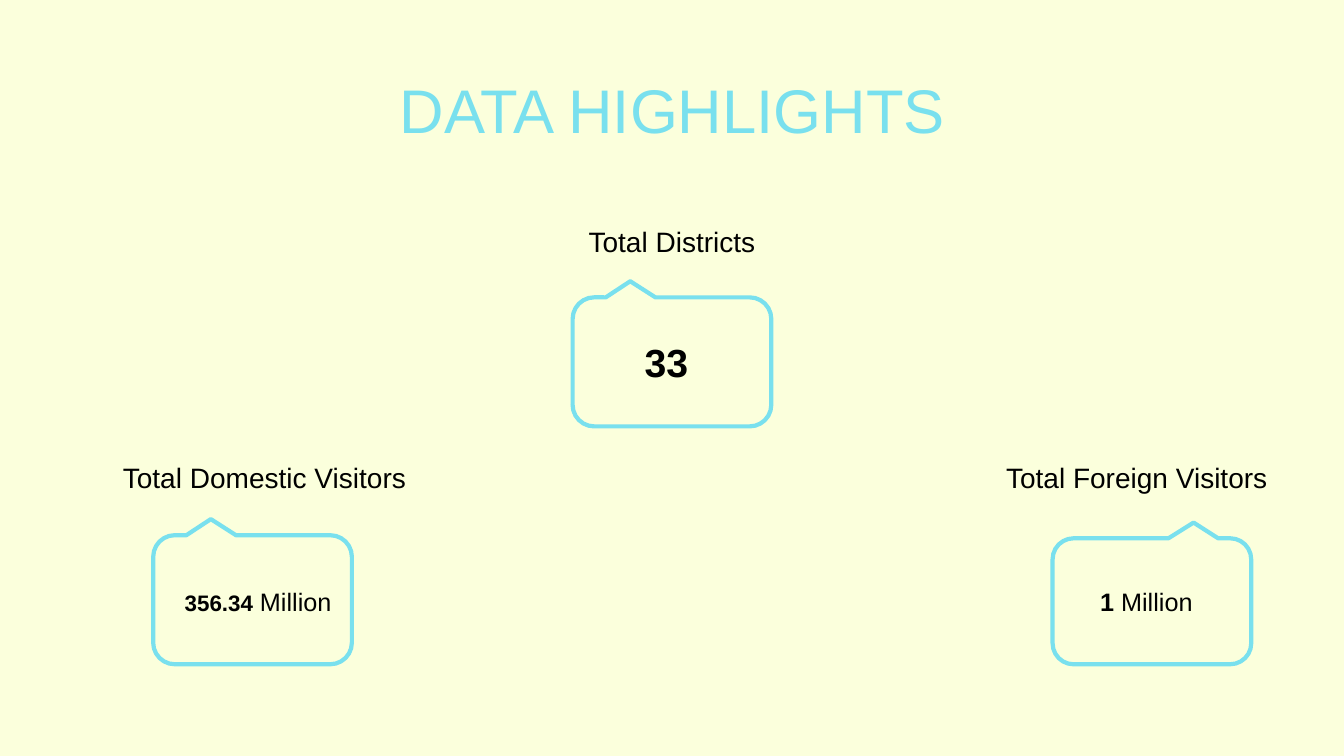
from dataclasses import dataclass

from pptx import Presentation
from pptx.dml.color import RGBColor
from pptx.enum import shapes, text
from pptx.slide import Slide
from pptx.text.text import TextFrame
from pptx.util import Inches, Pt

CREAM, AQUA, BLACK = "FBFFDC", "79E0EE", "000000"
FONT = "Arial"
LEFT, CENTER, RIGHT = text.PP_ALIGN.LEFT, text.PP_ALIGN.CENTER, text.PP_ALIGN.RIGHT
CALLOUT_W, LABEL_W, VALUE_W = 1.97, 3.09, 1.86


@dataclass(frozen=True)
class Run:
    text: str
    size: int
    bold: bool = False
    color: str = BLACK


@dataclass(frozen=True)
class TextItem:
    left: float
    top: float
    width: float
    height: float
    align: text.PP_ALIGN
    runs: tuple[Run, ...]


@dataclass(frozen=True)
class Callout:
    left: float
    top: float
    height: float
    tip: float  # horizontal offset of the tip from the centre, as a share of width


@dataclass(frozen=True)
class Highlight:
    callout: Callout
    label: TextItem
    value: TextItem


def rgb(value: str) -> RGBColor:
    return RGBColor.from_string(value)


def write(tf: TextFrame, align: text.PP_ALIGN, runs: tuple[Run, ...]) -> None:
    tf.word_wrap = True
    p = tf.paragraphs[0]
    p.alignment = align
    for run in runs:
        r = p.add_run()
        r.text = run.text
        formats = {"name": FONT, "size": Pt(run.size), "bold": run.bold}
        for name, value in formats.items():
            setattr(r.font, name, value)
        r.font.color.rgb = rgb(run.color)


def add_text(s: Slide, item: TextItem) -> None:
    box = s.shapes.add_textbox(
        Inches(item.left), Inches(item.top), Inches(item.width), Inches(item.height))
    write(box.text_frame, item.align, item.runs)
    box.text_frame.auto_size = text.MSO_AUTO_SIZE.SHAPE_TO_FIT_TEXT


def add_callout(s: Slide, callout: Callout) -> None:
    sp = s.shapes.add_shape(
        shapes.MSO_SHAPE.ROUNDED_RECTANGULAR_CALLOUT,
        Inches(callout.left), Inches(callout.top),
        Inches(CALLOUT_W), Inches(callout.height))
    sp.adjustments[0] = callout.tip
    sp.adjustments[1] = -0.625  # tip above the box
    sp.shadow.inherit = False
    sp.fill.background()
    sp.line.color.rgb = rgb(AQUA)
    sp.line.width = Pt(3)


def add_title(s: Slide, caption: str) -> None:
    title = s.shapes.title
    place = {"left": 0.92, "top": 0.4, "width": 11.5, "height": 1.45}
    for name, value in place.items():
        setattr(title, name, Inches(value))
    tf = title.text_frame
    write(tf, CENTER, (Run(caption, 44, color=AQUA),))
    tf.auto_size = text.MSO_AUTO_SIZE.NONE
    tf.vertical_anchor = text.MSO_ANCHOR.MIDDLE
    tf.paragraphs[0].line_spacing = 0.9


HIGHLIGHTS = (
    Highlight(
        Callout(1.52, 5.31, 1.28, -0.21),
        TextItem(1.12, 4.52, LABEL_W, 0.44, LEFT, (Run("Total Domestic Visitors", 20),)),
        TextItem(1.63, 5.77, VALUE_W, 0.4, CENTER,
                 (Run("356.34", 16, True), Run(" Million", 18)))),
    Highlight(
        Callout(10.44, 5.34, 1.25, 0.21),
        TextItem(9.58, 4.52, LABEL_W, 0.44, RIGHT, (Run("Total Foreign Visitors", 20),)),
        TextItem(10.44, 5.77, VALUE_W, 0.4, CENTER,
                 (Run("1", 18, True), Run(" Million", 18)))),
    Highlight(
        Callout(5.68, 2.95, 1.28, -0.21),
        TextItem(5.12, 2.18, LABEL_W, 0.44, CENTER, (Run("Total Districts", 20),)),
        TextItem(5.68, 3.31, VALUE_W, 0.57, CENTER, (Run("33", 28, True),))),
)


def main() -> None:
    prs = Presentation()
    prs.slide_width, prs.slide_height = Inches(13.33), Inches(7.5)
    s = prs.slides.add_slide(prs.slide_layouts[5])

    # Background and title
    s.background.fill.solid()
    s.background.fill.fore_color.rgb = rgb(CREAM)
    add_title(s, "DATA HIGHLIGHTS")

    # Highlights: callout, label and value
    for highlight in HIGHLIGHTS:
        add_callout(s, highlight.callout)
        add_text(s, highlight.label)
        add_text(s, highlight.value)

    prs.save("out.pptx")


if __name__ == "__main__":
    main()
